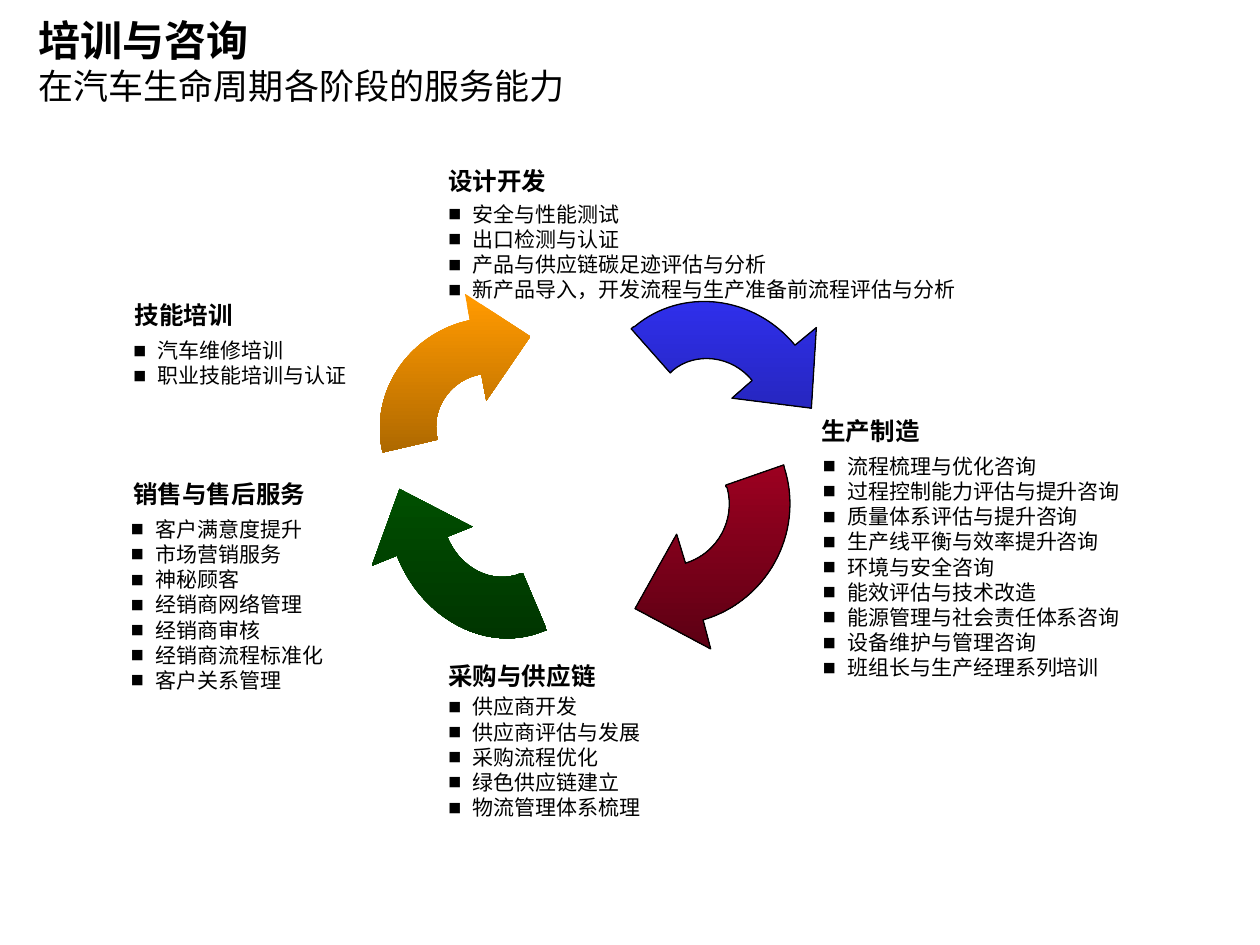
import math
from dataclasses import dataclass
from typing import NamedTuple

import pptx
import pptx.dml.color
import pptx.enum.text
import pptx.oxml
import pptx.oxml.ns
import pptx.util

Cm, Pt = pptx.util.Cm, pptx.util.Pt
Anchor = pptx.enum.text.MSO_ANCHOR


class Style(NamedTuple):
    size: float
    leading: float
    bold: bool = False


@dataclass(frozen=True)
class Theme:
    font: str = "Noto Sans CJK SC"
    ink: str = "000000"
    title: Style = Style(24, 29, True)
    subtitle: Style = Style(20, 24)
    heading: Style = Style(14, 17, True)
    item: Style = Style(12, 14.4)
    outline: float = 0.75
    orange: tuple = ("FF9900", "764700")
    blue: tuple = ("3333FF", "181876")
    green: tuple = ("006600", "002F00")
    red: tuple = ("C30028", "5A0013")


THEME = Theme()


class Box(NamedTuple):
    """Left, top, width and height in centimetres."""
    left: float
    top: float
    width: float
    height: float


@dataclass(frozen=True)
class Stage:
    heading: str
    heading_box: Box
    items: tuple
    items_box: Box


@dataclass(frozen=True)
class CycleArrow:
    """A turned ring segment; its points are slide positions in grid units."""
    box: Box
    turn: float
    inner: tuple
    outer: tuple
    head: tuple
    shades: tuple
    outlined: bool = False


GRID = Cm(2.54)
INSETS = {"margin_left": Cm(0.18), "margin_right": Cm(0.18),
          "margin_top": Cm(0.1), "margin_bottom": Cm(0.1)}
NO_INSETS = dict.fromkeys(INSETS, 0)
HANGING = Cm(0.49)

STAGES = (
    Stage("设计开发", Box(8.86, 3.25, 4.57, 0.99),
          ("安全与性能测试", "出口检测与认证", "产品与供应链碳足迹评估与分析",
           "新产品导入，开发流程与生产准备前流程评估与分析"),
          Box(8.86, 3.96, 15.06, 1.6)),
    Stage("技能培训", Box(2.54, 5.94, 4.57, 0.99),
          ("汽车维修培训", "职业技能培训与认证"), Box(2.51, 6.71, 5.56, 1.47)),
    Stage("销售与售后服务", Box(2.51, 9.55, 4.57, 0.99),
          ("客户满意度提升", "市场营销服务", "神秘顾客", "经销商网络管理",
           "经销商审核", "经销商流程标准化", "客户关系管理"),
          Box(2.46, 10.31, 6.07, 2.74)),
    Stage("采购与供应链", Box(8.86, 13.21, 4.57, 0.99),
          ("供应商开发", "供应商评估与发展", "采购流程优化", "绿色供应链建立",
           "物流管理体系梳理"), Box(8.86, 13.89, 9.53, 1.22)),
    Stage("生产制造", Box(16.38, 8.28, 6.32, 0.99),
          ("流程梳理与优化咨询", "过程控制能力评估与提升咨询",
           "质量体系评估与提升咨询", "生产线平衡与效率提升咨询",
           "环境与安全咨询", "能效评估与技术改造", "能源管理与社会责任体系咨询",
           "设备维护与管理咨询", "班组长与生产经理系列培训"),
          Box(16.41, 9.04, 8.51, 4.6)),
)

ARROWS = (
    CycleArrow(
        Box(7.72, 6.38, 4.37, 4.5), 258.8,
        ((3.82, 2.97), (3.58, 3.01), (3.42, 3.24), (3.47, 3.47),
         (3.47, 3.48), (3.47, 3.49), (3.47, 3.49)),
        ((3.04, 3.59), (3.04, 3.58), (3.04, 3.57), (3.03, 3.56),
         (2.94, 3.09), (3.26, 2.64), (3.73, 2.54)),
        ((3.69, 2.33), (4.21, 2.67), (3.86, 3.18)), THEME.orange),
    CycleArrow(
        Box(12.09, 6.02, 4.45, 4.75), 320.1,
        ((5.97, 3.02), (5.81, 2.82), (5.52, 2.79), (5.34, 2.94),
         (5.33, 2.95), (5.33, 2.95), (5.32, 2.96)),
        ((5.01, 2.61), (5.02, 2.6), (5.03, 2.59), (5.04, 2.59),
         (5.41, 2.28), (5.98, 2.34), (6.31, 2.74)),
        ((6.48, 2.6), (6.44, 3.24), (5.81, 3.16)), THEME.blue, True),
    CycleArrow(
        Box(7.85, 7.92, 4.39, 5), 158.5,
        ((3.55, 4.26), (3.65, 4.51), (3.91, 4.64), (4.13, 4.55),
         (4.14, 4.55), (4.14, 4.55), (4.15, 4.55)),
        ((4.34, 5), (4.33, 5), (4.32, 5.01), (4.31, 5.01),
         (3.87, 5.19), (3.35, 4.92), (3.15, 4.41)),
        ((2.95, 4.49), (3.17, 3.88), (3.75, 4.18)), THEME.green),
    CycleArrow(
        Box(11.05, 7.72, 4.83, 4.93), 73.2,
        ((5.44, 4.47), (5.7, 4.39), (5.84, 4.12), (5.77, 3.87),
         (5.76, 3.87), (5.76, 3.86), (5.76, 3.85)),
        ((6.22, 3.69), (6.22, 3.71), (6.23, 3.72), (6.23, 3.73),
         (6.38, 4.23), (6.09, 4.77), (5.58, 4.92)),
        ((5.64, 5.15), (5.04, 4.83), (5.37, 4.24)), THEME.red, True),
)


def rgb(code: str) -> pptx.dml.color.RGBColor:
    return pptx.dml.color.RGBColor.from_string(code)


def add_child(parent, tag: str, **attributes: str):
    child = pptx.oxml.parse_xml(f"<a:{tag} {pptx.oxml.ns.nsdecls('a')}/>")
    for key, value in attributes.items():
        child.set(key, value)
    parent.append(child)
    return child


def add_text(slide, box: Box, lines: list, insets: dict = INSETS,
             anchor=Anchor.TOP, bulleted: bool = False) -> None:
    frame = slide.shapes.add_textbox(*map(Cm, box)).text_frame
    layout = {"word_wrap": True, "vertical_anchor": anchor, **insets}
    for key, value in layout.items():
        setattr(frame, key, value)
    for index, (words, style) in enumerate(lines):
        paragraph = frame.add_paragraph() if index else frame.paragraphs[0]
        paragraph.line_spacing = Pt(style.leading)
        if bulleted:
            properties = paragraph._p.get_or_add_pPr()
            properties.set("marL", str(HANGING))
            properties.set("indent", str(-HANGING))
            add_child(properties, "buSzPct", val="62000")
            add_child(properties, "buFont", typeface=THEME.font)
            add_child(properties, "buChar", char="■")
        run = paragraph.add_run()
        run.text = words
        look = {"size": Pt(style.size), "bold": style.bold, "name": THEME.font}
        for key, value in look.items():
            setattr(run.font, key, value)
        run.font.color.rgb = rgb(THEME.ink)
        add_child(run._r.get_or_add_rPr(), "ea", typeface=THEME.font)


def add_arrow(slide, arrow: CycleArrow) -> None:
    left, top, width, height = map(Cm, arrow.box)
    cosine = math.cos(math.radians(arrow.turn))
    sine = math.sin(math.radians(arrow.turn))

    def unturned(point: tuple) -> tuple:
        x = point[0] * GRID - left - width / 2
        y = point[1] * GRID - top - height / 2
        return (round(width / 2 + x * cosine + y * sine),
                round(height / 2 - x * sine + y * cosine))

    inner, outer, head = (list(map(unturned, part))
                          for part in (arrow.inner, arrow.outer, arrow.head))
    builder = slide.shapes.build_freeform(*inner[0])
    builder.add_line_segments(outer + head)
    segment = builder.convert_to_shape()
    placing = {"left": left, "top": top, "width": width, "height": height,
               "rotation": arrow.turn}
    for key, value in placing.items():
        setattr(segment, key, value)

    # Curved outline in the unturned frame
    outline = segment._element.spPr.find(".//" + pptx.oxml.ns.qn("a:path"))
    for step in list(outline):
        outline.remove(step)
    outline.set("w", str(width))
    outline.set("h", str(height))
    steps = [("moveTo", inner[:1]), ("cubicBezTo", inner[1:4]),
             ("cubicBezTo", inner[4:]), ("lnTo", outer[:1]),
             ("cubicBezTo", outer[1:4]), ("cubicBezTo", outer[4:]),
             *(("lnTo", [corner]) for corner in head), ("close", [])]
    for tag, points in steps:
        step = add_child(outline, tag)
        for x, y in points:
            add_child(step, "pt", x=str(x), y=str(y))

    # Shading stays upright while the shape turns
    segment.shadow.inherit = False
    segment.fill.gradient()
    segment.fill.gradient_angle = 270
    segment._element.spPr.find(pptx.oxml.ns.qn("a:gradFill")).set("rotWithShape", "0")
    for stop, shade in zip(segment.fill.gradient_stops, arrow.shades):
        stop.color.rgb = rgb(shade)
    if arrow.outlined:
        segment.line.color.rgb = rgb(THEME.ink)
        segment.line.width = Pt(THEME.outline)
    else:
        segment.line.fill.background()


def main() -> None:
    deck = pptx.Presentation()
    deck.slide_width, deck.slide_height = Cm(25.4), Cm(19.05)
    slide = deck.slides.add_slide(deck.slide_layouts[6])

    # Title and subtitle
    add_text(slide, Box(0.78, 0.05, 21.49, 2.34),
             [("培训与咨询", THEME.title),
              ("在汽车生命周期各阶段的服务能力", THEME.subtitle)],
             NO_INSETS, Anchor.MIDDLE)

    # Services of each stage
    for stage in STAGES:
        add_text(slide, stage.items_box,
                 [(item, THEME.item) for item in stage.items], bulleted=True)

    # Life cycle arrows
    for arrow in ARROWS:
        add_arrow(slide, arrow)

    # Stage headings
    for stage in STAGES:
        add_text(slide, stage.heading_box, [(stage.heading, THEME.heading)])

    deck.save("out.pptx")


if __name__ == "__main__":
    main()
